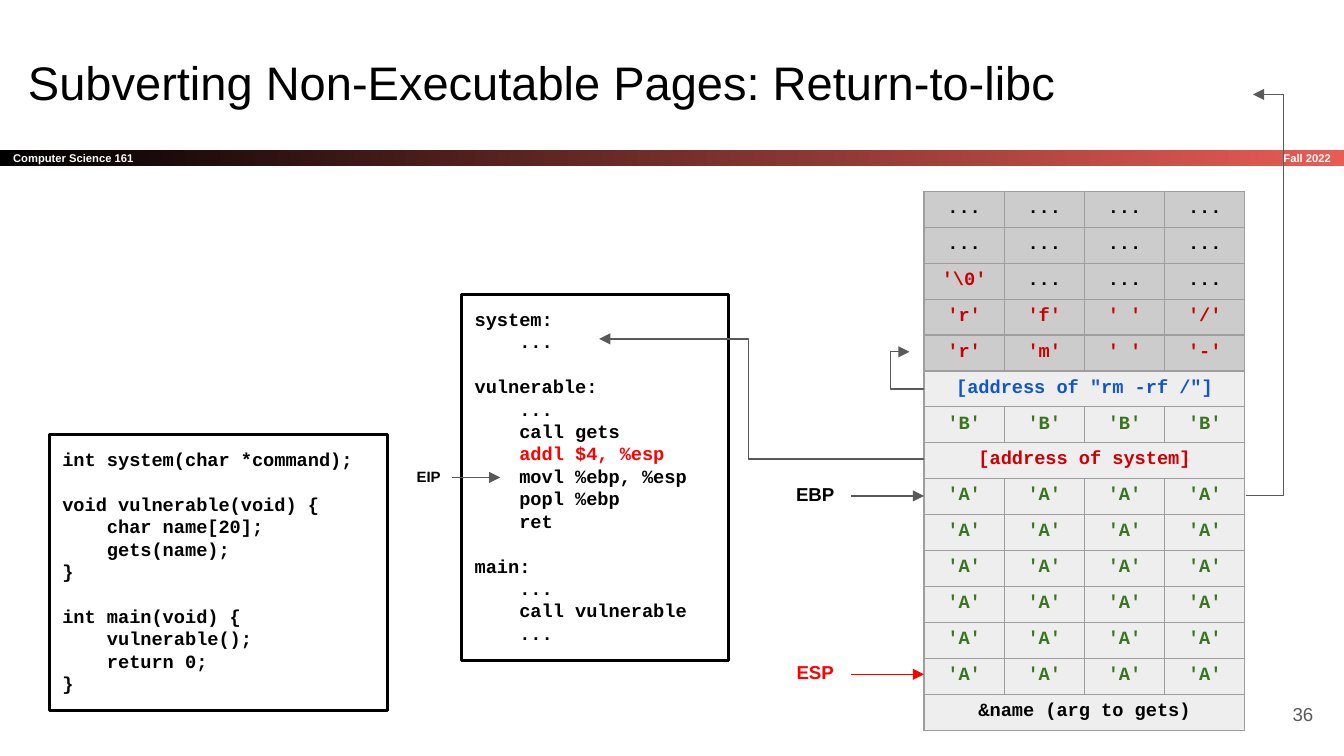
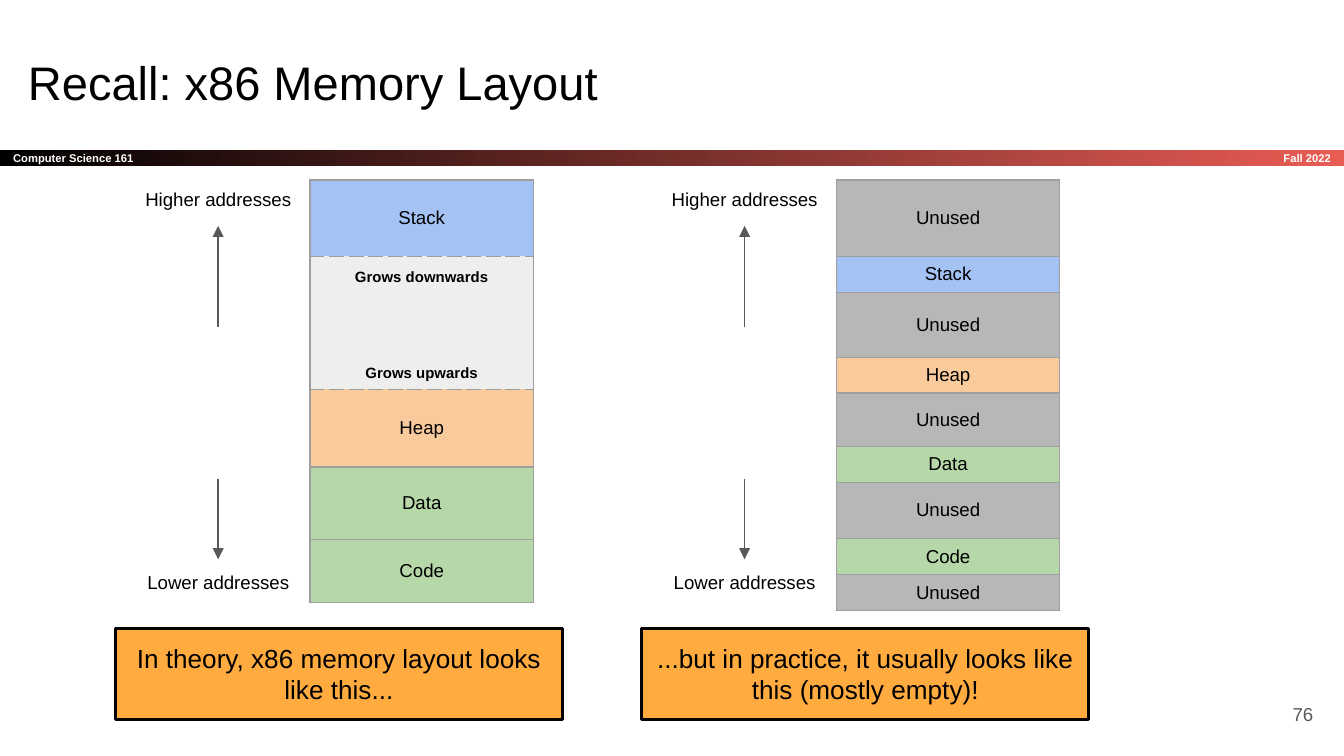
from dataclasses import dataclass

from lxml.etree import SubElement
from pptx import Presentation
from pptx.dml.color import RGBColor
from pptx.enum.shapes import MSO_CONNECTOR, MSO_SHAPE
from pptx.enum.text import MSO_ANCHOR as Anchor, PP_ALIGN as Align
from pptx.oxml import parse_xml
from pptx.oxml.ns import nsdecls, qn
from pptx.util import Pt

BLACK = RGBColor(0x00, 0x00, 0x00)
WHITE = RGBColor(0xFF, 0xFF, 0xFF)
CORAL = RGBColor(0xE8, 0x5C, 0x54)
ALERT_RED = RGBColor(0xFF, 0x00, 0x00)
INJECTED_RED = RGBColor(0xCC, 0x00, 0x00)
POINTER_BLUE = RGBColor(0x11, 0x55, 0xCC)
PADDING_GREEN = RGBColor(0x38, 0x76, 0x1D)
ARROW_GRAY = RGBColor(0x59, 0x59, 0x59)
BORDER_GRAY = RGBColor(0x9E, 0x9E, 0x9E)
CALLER_GRAY = RGBColor(0xCC, 0xCC, 0xCC)
PALE_GRAY = RGBColor(0xEE, 0xEE, 0xEE)
UNUSED_GRAY = RGBColor(0xB7, 0xB7, 0xB7)
STACK_BLUE = RGBColor(0xA4, 0xC2, 0xF4)
HEAP_PEACH = RGBColor(0xF9, 0xCB, 0x9C)
STATIC_GREEN = RGBColor(0xB6, 0xD7, 0xA8)
CAPTION_ORANGE = RGBColor(0xFF, 0xAB, 0x40)

SANS, MONO = "Arial", "Courier New"
WIDE_INSET, TIGHT_INSET = 7.2, 3.6
CODE_LINE = 12
ROW_HEIGHT = 19.2
RIGHT_SIDE, TOP_SIDE, BOTTOM_SIDE = 3, 0, 2


@dataclass(frozen=True)
class Box:
    left: float
    top: float
    width: float
    height: float

    def lengths(self) -> tuple:
        return Pt(self.left), Pt(self.top), Pt(self.width), Pt(self.height)


@dataclass(frozen=True)
class Style:
    size: float = 10
    color: RGBColor = BLACK
    bold: bool = False
    font: str = SANS
    align: Align = Align.CENTER
    anchor: Anchor = Anchor.TOP
    inset: float = WIDE_INSET


@dataclass(frozen=True)
class StackRow:
    """Four bytes, or one text that spans the row."""
    cells: tuple[str, ...]
    color: RGBColor
    fill: RGBColor = PALE_GRAY


@dataclass(frozen=True)
class Register:
    name: str
    box: Box
    style: Style
    target_x: float
    arrow_color: RGBColor = ARROW_GRAY


@dataclass(frozen=True)
class MemoryMap:
    """Segments are pairs of name and height, from higher to lower addresses."""
    left: float
    segments: tuple[tuple[str, float], ...]
    caption: str


BAND_STYLE = Style(6, WHITE, True, align=Align.LEFT, anchor=Anchor.MIDDLE)
TERM_STYLE = Style(6, WHITE, True, align=Align.RIGHT, anchor=Anchor.MIDDLE)
TITLE_STYLE = Style(25.2, align=Align.LEFT)
NUMBER_STYLE = Style(10, ARROW_GRAY, align=Align.RIGHT, anchor=Anchor.MIDDLE)
CODE_STYLE = Style(bold=True, font=MONO, align=Align.LEFT)
SMALL_LABEL = Style(8, bold=True, inset=TIGHT_INSET)
SEGMENT_STYLE = Style(anchor=Anchor.MIDDLE, inset=TIGHT_INSET)

C_SOURCE = """int system(char *command);

void vulnerable(void) {
    char name[20];
    gets(name);
}

int main(void) {
    vulnerable();
    return 0;
}"""
ASSEMBLY = """system:
    ...

vulnerable:
    ...
    call gets
    addl $4, %esp
    movl %ebp, %esp
    popl %ebp
    ret

main:
    ...
    call vulnerable
    ..."""
CLEANUP_LINE = "    addl $4, %esp"

ELLIPSIS = "..."
STACK_ROWS = (
    *[StackRow((ELLIPSIS,) * 4, BLACK, CALLER_GRAY)] * 2,
    StackRow(("'\\0'",) + (ELLIPSIS,) * 3, INJECTED_RED, CALLER_GRAY),
    StackRow(("'r'", "'f'", "' '", "'/'"), INJECTED_RED, CALLER_GRAY),
    StackRow(("'r'", "'m'", "' '", "'-'"), INJECTED_RED, CALLER_GRAY),
    StackRow(('[address of "rm -rf /"]',), POINTER_BLUE),
    StackRow(("'B'",) * 4, PADDING_GREEN),
    StackRow(("[address of system]",), INJECTED_RED),
    *[StackRow(("'A'",) * 4, PADDING_GREEN)] * 6,
    StackRow(("&name (arg to gets)",), BLACK),
)
REGISTERS = (
    Register("ESP", Box(417.6, 348, 38.2, 26.6), Style(color=ALERT_RED, bold=True),
             495, ALERT_RED),
    Register("EIP", Box(217.4, 247.2, 24.5, 17.2), SMALL_LABEL, 268),
    Register("EBP", Box(417.6, 252.4, 38.2, 26.6), Style(bold=True), 495),
)
SAVED_EBP_PATH = ((667.4, 265.5), (687.6, 265.5), (687.6, 50.6), (671.3, 50.6))
ARGUMENT_PATH = ((495, 208.5), (477, 208.5), (477, 188.5), (487.2, 188.5))
RETURN_PATH = ((495, 246), (401, 246), (401, 181.6), (321, 181.6))

GAP = ""
SEGMENT_FILLS = {
    "Stack": STACK_BLUE, "Heap": HEAP_PEACH, "Data": STATIC_GREEN,
    "Code": STATIC_GREEN, "Unused": UNUSED_GRAY, GAP: PALE_GRAY,
}
THEORY = MemoryMap(
    61.9,
    (("Stack", 41), (GAP, 71.2), ("Heap", 41.6), ("Data", 38.9), ("Code", 33.7)),
    "In theory, x86 memory layout looks like this...",
)
PRACTICE = MemoryMap(
    343.9,
    (("Unused", 41), ("Stack", ROW_HEIGHT), ("Unused", 34.7), ("Heap", ROW_HEIGHT),
     ("Unused", 28.6), ("Data", ROW_HEIGHT), ("Unused", 30.2), ("Code", ROW_HEIGHT),
     ("Unused", ROW_HEIGHT)),
    "...but in practice, it usually looks like this (mostly empty)!",
)


def format_paragraph(paragraph, style: Style) -> None:
    paragraph.alignment = style.align
    for run in paragraph.runs:
        run.font.name = style.font
        run.font.size = Pt(style.size)
        run.font.bold = style.bold
        run.font.color.rgb = style.color


def write_text(frame, text: str, style: Style) -> None:
    """Write one paragraph a line; a blank line becomes space before the next."""
    frame.word_wrap = True
    frame.vertical_anchor = style.anchor
    frame.margin_left = frame.margin_right = Pt(style.inset)
    frame.margin_top = frame.margin_bottom = Pt(style.inset)
    paragraph, gap = frame.paragraphs[0], 0
    for index, line in enumerate(text.split("\n")):
        if not line:
            gap += CODE_LINE
            continue
        if index:
            paragraph = frame.add_paragraph()
        paragraph.text = line
        format_paragraph(paragraph, style)
        if gap:
            paragraph.space_before = Pt(gap)
            gap = 0


def add_label(slide, text: str, box: Box, style: Style):
    label = slide.shapes.add_textbox(*box.lengths())
    write_text(label.text_frame, text, style)
    return label


def add_panel(slide, text: str, box: Box, style: Style, fill: RGBColor):
    panel = slide.shapes.add_shape(MSO_SHAPE.RECTANGLE, *box.lengths())
    panel.shadow.inherit = False
    panel.fill.solid()
    panel.fill.fore_color.rgb = fill
    panel.line.color.rgb = BLACK
    panel.line.width = Pt(1.5)
    write_text(panel.text_frame, text, style)
    return panel


def style_arrow(line, color: RGBColor) -> None:
    line.color.rgb = color
    line.width = Pt(0.75)
    SubElement(line._get_or_add_ln(), qn("a:tailEnd"), type="triangle")


def add_arrow(slide, start: tuple, end: tuple, color: RGBColor = ARROW_GRAY):
    points = [Pt(value) for value in (*start, *end)]
    arrow = slide.shapes.add_connector(MSO_CONNECTOR.STRAIGHT, *points)
    style_arrow(arrow.line, color)
    SubElement(arrow._element.spPr, qn("a:effectLst"))
    return arrow


def add_bent_arrow(slide, path: tuple) -> None:
    start, *corners = [(Pt(x), Pt(y)) for x, y in path]
    builder = slide.shapes.build_freeform(*start)
    builder.add_line_segments(corners, close=False)
    arrow = builder.convert_to_shape()
    arrow.shadow.inherit = False
    arrow.fill.background()
    style_arrow(arrow.line, ARROW_GRAY)


def add_grid(slide, box: Box, heights: list[float], columns: int):
    grid = slide.shapes.add_table(len(heights), columns, *box.lengths()).table
    grid.first_row = grid.horz_banding = False
    for column in grid.columns:
        column.width = Pt(box.width / columns)
    for row, height in zip(grid.rows, heights):
        row.height = Pt(height)
    return grid


def paint_cell(cell, fill: RGBColor, dashed: str = "") -> None:
    """Fill the cell and border it; dashed names sides out of L, R, T and B."""
    cell.fill.solid()
    cell.fill.fore_color.rgb = fill
    properties = cell._tc.get_or_add_tcPr()
    for index, side in enumerate("LRTB"):
        dash = "dash" if side in dashed else "solid"
        properties.insert(index, parse_xml(
            f'<a:ln{side} {nsdecls("a")} w="{Pt(0.75)}"><a:solidFill>'
            f'<a:srgbClr val="{BORDER_GRAY}"/></a:solidFill>'
            f'<a:prstDash val="{dash}"/></a:ln{side}>'))


def write_cell(cell, text: str, style: Style) -> None:
    cell.vertical_anchor = style.anchor
    cell.margin_left = cell.margin_right = Pt(style.inset)
    cell.margin_top = cell.margin_bottom = Pt(style.inset)
    cell.text_frame.text = text
    format_paragraph(cell.text_frame.paragraphs[0], style)


def start_slide(deck, title: str, number: int):
    """Add a slide with the course band, its title and its number."""
    slide = deck.slides.add_slide(deck.slide_layouts[6])
    band = add_panel(slide, "Computer Science 161", Box(0, 80.2, 720, 8.6),
                     BAND_STYLE, BLACK)
    band.line.fill.background()
    band.fill.gradient()
    band.fill.gradient_angle = 0
    for stop, color in zip(band.fill.gradient_stops, (BLACK, CORAL)):
        stop.color.rgb = color
    add_label(slide, "Fall 2022", Box(600.5, 80.2, 119.5, 8.6), TERM_STYLE)
    add_label(slide, title, Box(7.9, 21.6, 671, 45.4), TITLE_STYLE)
    add_label(slide, str(number), Box(667.4, 367.2, 43.2, 31), NUMBER_STYLE)
    return slide


def draw_stack(slide) -> None:
    heights = [ROW_HEIGHT] * len(STACK_ROWS)
    grid = add_grid(slide, Box(495, 102.5, 172, sum(heights)), heights, 4)
    for index, row in enumerate(STACK_ROWS):
        for column in range(4):
            paint_cell(grid.cell(index, column), row.fill)
        if len(row.cells) == 1:
            grid.cell(index, 0).merge(grid.cell(index, 3))
        for column, text in enumerate(row.cells):
            color = BLACK if text == ELLIPSIS else row.color
            write_cell(grid.cell(index, column), text,
                       Style(color=color, bold=True, font=MONO, inset=TIGHT_INSET))


def draw_memory_map(slide, memory: MemoryMap) -> None:
    center = memory.left + 55
    for text, top, start_y, end_y, side in (
            ("Higher addresses", 94.4, 175, 121, BOTTOM_SIDE),
            ("Lower addresses", 299.6, 256.5, 299.6, TOP_SIDE)):
        label = add_label(slide, text, Box(center - 49.3, top, 98.6, 26.6), Style())
        arrow = add_arrow(slide, (center, start_y), (center, end_y))
        arrow.end_connect(label, side)

    names = [name for name, _ in memory.segments]
    heights = [height for _, height in memory.segments]
    grid = add_grid(slide, Box(memory.left + 104.2, 96.4, 119.6, sum(heights)), heights, 1)
    for index, name in enumerate(names):
        above, below = names[max(index - 1, 0)], names[min(index + 1, len(names) - 1)]
        dashed = ("T" if GAP in (name, above) else "") + ("B" if GAP in (name, below) else "")
        cell = grid.cell(index, 0)
        paint_cell(cell, SEGMENT_FILLS[name], dashed)
        write_cell(cell, name, SEGMENT_STYLE)
    add_panel(slide, memory.caption, Box(memory.left, 336.8, 239.4, 48.6),
              Style(14), CAPTION_ORANGE)


def build_return_to_libc(deck) -> None:
    slide = start_slide(deck, "Subverting Non-Executable Pages: Return-to-libc", 36)
    draw_stack(slide)
    assembly = add_panel(slide, ASSEMBLY, Box(247.2, 157.7, 143.3, 196.2), CODE_STYLE, WHITE)
    for paragraph in assembly.text_frame.paragraphs:
        if paragraph.text == CLEANUP_LINE:
            paragraph.runs[0].font.color.rgb = ALERT_RED
    add_panel(slide, C_SOURCE, Box(26.3, 232.7, 181.5, 148), CODE_STYLE, WHITE)
    for register in REGISTERS:
        box = register.box
        label = add_label(slide, register.name, box, register.style)
        middle = box.top + box.height / 2
        arrow = add_arrow(slide, (box.left + box.width, middle),
                          (register.target_x, middle), register.arrow_color)
        arrow.begin_connect(label, RIGHT_SIDE)
    for path in (SAVED_EBP_PATH, ARGUMENT_PATH, RETURN_PATH):
        add_bent_arrow(slide, path)


def build_memory_layout(deck) -> None:
    slide = start_slide(deck, "Recall: x86 Memory Layout", 76)
    for memory in (THEORY, PRACTICE):
        draw_memory_map(slide, memory)
    for text, top in (("Grows downwards", 139.7), ("Grows upwards", 191.3)):
        add_label(slide, text, Box(185.6, top, 80.6, 17.2), SMALL_LABEL)


def main() -> None:
    deck = Presentation()
    deck.slide_width, deck.slide_height = Pt(720), Pt(405)
    build_return_to_libc(deck)
    build_memory_layout(deck)
    deck.save("out.pptx")


if __name__ == "__main__":
    main()
